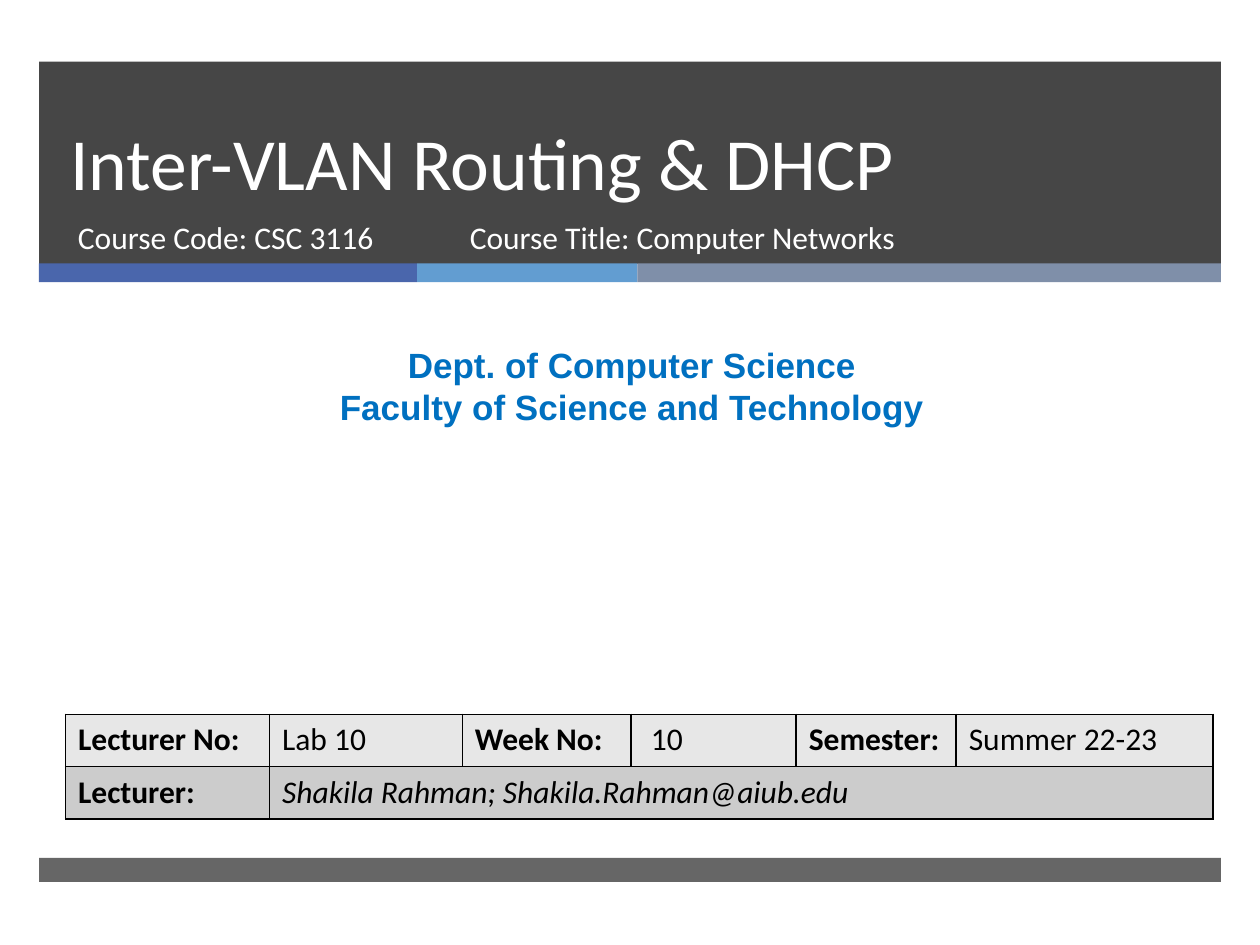
from dataclasses import dataclass
from typing import NamedTuple

from lxml.etree import SubElement
from pptx import Presentation
from pptx.dml.color import RGBColor
from pptx.enum.shapes import MSO_SHAPE
from pptx.enum.text import MSO_ANCHOR, MSO_AUTO_SIZE, PP_ALIGN
from pptx.oxml import parse_xml
from pptx.oxml.ns import nsdecls, qn
from pptx.util import Inches, Pt

SLIDE_W, SLIDE_H = Inches(10), Inches(7.5)


@dataclass(frozen=True)
class Theme:
    dark: str = "262626"
    accents: tuple = ("4A66AC", "629DD1", "7F8FA9")
    white: str = "FFFFFF"
    black: str = "000000"
    dept: str = "0070C0"
    rows: tuple = ("E7E7E7", "CCCCCC")
    body: str = "Calibri"
    dept_font: str = "Arial"
    title_size: int = 42
    title_leading: int = 46
    body_size: int = 18
    dept_size: int = 20
    border: int = 1


class Box(NamedTuple):
    """Percent shares of the slide's width and height."""
    x: float
    y: float
    w: float
    h: float

    def emu(self) -> tuple:
        return (int(SLIDE_W * self.x / 100), int(SLIDE_H * self.y / 100),
                int(SLIDE_W * self.w / 100), int(SLIDE_H * self.h / 100))


class Style(NamedTuple):
    font: str
    size: int
    color: str
    bold: bool = False
    italic: bool = False


class Bar(NamedTuple):
    box: Box
    color: str
    opacity: int = 100


class Label(NamedTuple):
    box: Box
    lines: tuple
    style: Style
    align: PP_ALIGN = PP_ALIGN.LEFT


class Entry(NamedTuple):
    text: str
    bold: bool = False
    italic: bool = False


T = Theme()
LEFT, FULL = 3.1, 93.8
STRIPE_Y, STRIPE_H = 27.87, 2
STRIPE_WIDTHS = (30, 17.5, 46.3)
ON_DARK = Style(T.body, T.body_size, T.white)
TITLE_BOX = Box(4.6, 6.53, 85.4, 15.87)
LABELS = (
    Label(Box(5.2, 22.4, 30.5, 7.07), ("Course Code: CSC 3116",), ON_DARK),
    Label(Box(36.3, 22.4, 45.5, 7.07), ("Course Title: Computer Networks",), ON_DARK),
    Label(Box(0.8, 35.73, 98.7, 10.27),
          ("Dept. of Computer Science", "Faculty of Science and Technology"),
          Style(T.dept_font, T.dept_size, T.dept, True), PP_ALIGN.CENTER),
)
TABLE_BOX = Box(5.2, 75.6, 91.1, 11.07)
COLUMNS = (16.2, 15.3, 13.4, 13.1, 12.7, 20.4)
ENTRIES = (
    (Entry("Lecturer No:", True), Entry("Lab 10"), Entry("Week No:", True),
     Entry(" 10"), Entry("Semester:", True), Entry("Summer 22-23")),
    (Entry("Lecturer:", True),
     Entry("Shakila Rahman; Shakila.Rahman@aiub.edu", italic=True)),
)


def rgb(color: str) -> RGBColor:
    return RGBColor.from_string(color)


def add_run(p, text: str, style: Style) -> None:
    r = p.add_run()
    r.text = text
    r.font.name = style.font
    r.font.size = Pt(style.size)
    r.font.bold = style.bold
    r.font.italic = style.italic
    r.font.color.rgb = rgb(style.color)


def draw_bar(s, bar: Bar) -> None:
    sp = s.shapes.add_shape(MSO_SHAPE.RECTANGLE, *bar.box.emu())
    sp.shadow.inherit = False
    sp.line.fill.background()
    sp.fill.solid()
    sp.fill.fore_color.rgb = rgb(bar.color)
    if bar.opacity < 100:
        color = sp.element.spPr.find(qn("a:solidFill"))[0]
        SubElement(color, qn("a:alpha")).set("val", str(bar.opacity * 1000))


def draw_label(s, label: Label) -> None:
    tf = s.shapes.add_textbox(*label.box.emu()).text_frame
    tf.word_wrap = True
    for i, line in enumerate(label.lines):
        p = tf.add_paragraph() if i else tf.paragraphs[0]
        p.alignment = label.align
        add_run(p, line, label.style)


def place_title(s, box: Box, text: str) -> None:
    sp = s.shapes.title
    sp.left, sp.top, sp.width, sp.height = box.emu()
    tf = sp.text_frame
    tf.auto_size = MSO_AUTO_SIZE.NONE
    tf.word_wrap = True
    tf.vertical_anchor = MSO_ANCHOR.BOTTOM
    p = tf.paragraphs[0]
    p.alignment = PP_ALIGN.LEFT
    p.line_spacing = Pt(T.title_leading)
    add_run(p, text, Style(T.body, T.title_size, T.white))
    sp.element.getparent().append(sp.element)


def format_cell(cell, fill: str) -> None:
    cell.fill.solid()
    cell.fill.fore_color.rgb = rgb(fill)
    tc_pr = cell._tc.get_or_add_tcPr()
    for i, side in enumerate(("lnL", "lnR", "lnT", "lnB")):
        tc_pr.insert(i, parse_xml(
            f'<a:{side} {nsdecls("a")} w="{Pt(T.border)}"><a:solidFill>'
            f'<a:srgbClr val="{T.black}"/></a:solidFill></a:{side}>'))


def draw_table(s, box: Box) -> None:
    table = s.shapes.add_table(len(ENTRIES), len(COLUMNS), *box.emu()).table
    for column, share in zip(table.columns, COLUMNS):
        column.width = int(SLIDE_W * share / 100)
    table.cell(1, 1).merge(table.cell(1, len(COLUMNS) - 1))
    for r, (entries, fill) in enumerate(zip(ENTRIES, T.rows)):
        for c in range(len(COLUMNS)):
            format_cell(table.cell(r, c), fill)
        for c, entry in enumerate(entries):
            style = Style(T.body, T.body_size, T.black, entry.bold, entry.italic)
            add_run(table.cell(r, c).text_frame.paragraphs[0], entry.text, style)


def main() -> None:
    prs = Presentation()
    prs.slide_width, prs.slide_height = SLIDE_W, SLIDE_H
    s = prs.slides.add_slide(prs.slide_layouts[5])
    draw_bar(s, Bar(Box(LEFT, 6.53, FULL, 21.4), T.dark, 85))
    x = LEFT
    for width, color in zip(STRIPE_WIDTHS, T.accents):
        draw_bar(s, Bar(Box(x, STRIPE_Y, width, STRIPE_H), color))
        x += width
    draw_bar(s, Bar(Box(LEFT, 90.8, FULL, 2.53), T.dark, 70))
    place_title(s, TITLE_BOX, "Inter-VLAN Routing & DHCP")
    for label in LABELS:
        draw_label(s, label)
    draw_table(s, TABLE_BOX)
    prs.save("out.pptx")


if __name__ == "__main__":
    main()
